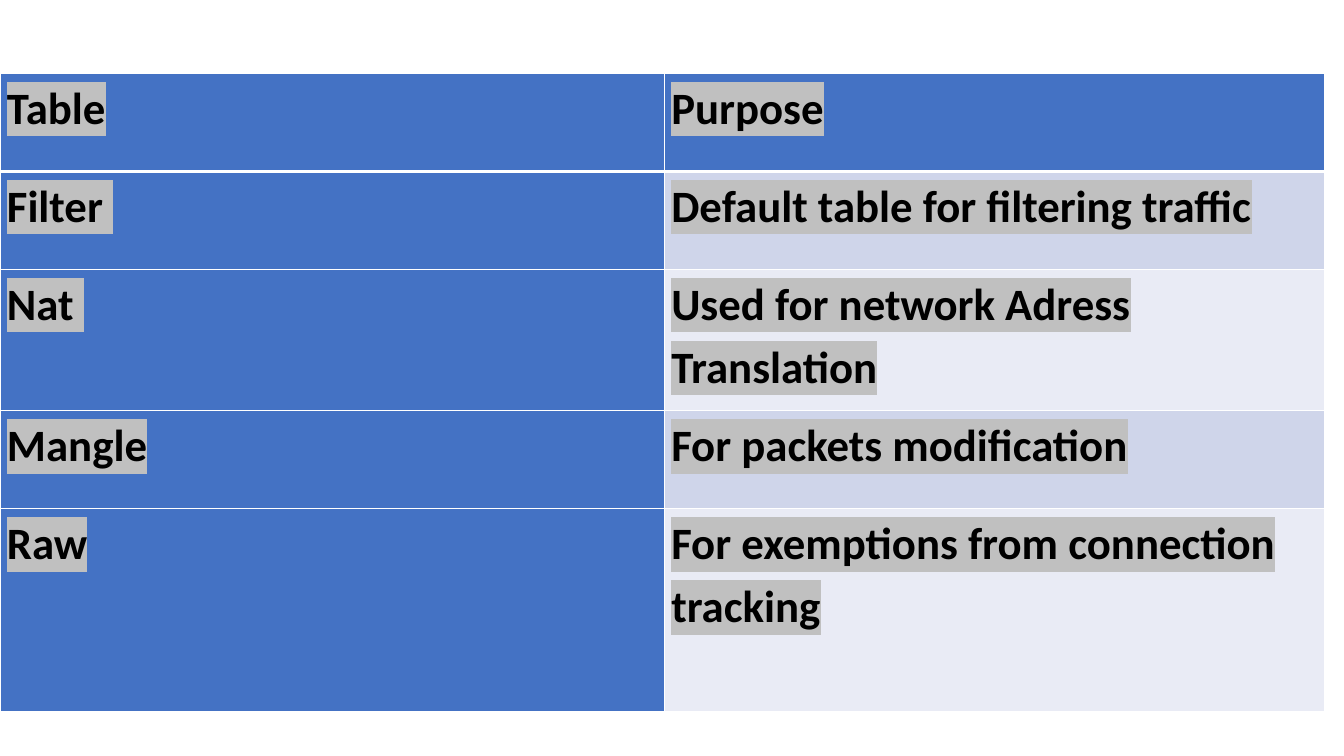
from dataclasses import dataclass

from lxml import etree
from pptx import Presentation
from pptx.dml.color import RGBColor
from pptx.oxml.ns import qn
from pptx.table import _Cell
from pptx.util import Pt

BLANK_LAYOUT = 6
BLUE, PALE, PALER = "4472C4", "CFD5EA", "E9EBF5"
WHITE, BLACK, GREY = "FFFFFF", "000000", "C0C0C0"
TABLE_TOP = 52.5
COLUMN_WIDTHS = (474.5, 472)
THIN, THICK = 1, 3


@dataclass(frozen=True)
class TableRow:
    name: str
    purpose: str
    height: float


ROWS = (
    TableRow("Table", "Purpose", 70),
    TableRow("Filter ", "Default table for filtering traffic", 70),
    TableRow("Nat ", "Used for network Adress Translation", 101),
    TableRow("Mangle", "For packets modification", 70),
    TableRow("Raw", "For exemptions from connection tracking", 145),
)


def rgb(value: str) -> RGBColor:
    return RGBColor.from_string(value)


def add_solid_colour(parent: etree._Element, tag: str, colour: str) -> None:
    holder = etree.SubElement(parent, qn(tag))
    etree.SubElement(holder, qn("a:srgbClr"), val=colour)


def set_borders(cell: _Cell, top: float, bottom: float) -> None:
    """Draw white borders; the cell's fill must be set afterwards."""
    properties = cell._tc.get_or_add_tcPr()
    for tag, width in (("a:lnL", THIN), ("a:lnR", THIN),
                       ("a:lnT", top), ("a:lnB", bottom)):
        line = etree.SubElement(properties, qn(tag), w=str(Pt(width)))
        add_solid_colour(line, "a:solidFill", WHITE)


def write_cell(cell: _Cell, text: str) -> None:
    cell.margin_left = cell.margin_right = Pt(5)
    cell.margin_top = cell.margin_bottom = 0
    paragraph = cell.text_frame.paragraphs[0]
    paragraph.line_spacing = 1.15
    paragraph.space_after = Pt(10)
    font = paragraph.font
    font.name = "Calibri"
    font.size = Pt(32)
    font.bold = True
    font.color.rgb = rgb(BLACK)
    run = paragraph.add_run()
    run.text = text
    add_solid_colour(run._r.get_or_add_rPr(), "a:highlight", GREY)


def fill_colour(row: int, column: int) -> str:
    if row == 0 or column == 0:
        return BLUE
    return PALE if row % 2 else PALER


def main() -> None:
    deck = Presentation()
    deck.slide_width, deck.slide_height = Pt(960), Pt(540)
    slide = deck.slides.add_slide(deck.slide_layouts[BLANK_LAYOUT])
    purposes = slide.shapes.add_table(
        len(ROWS), len(COLUMN_WIDTHS), 0, Pt(TABLE_TOP),
        Pt(sum(COLUMN_WIDTHS)), Pt(sum(row.height for row in ROWS))).table
    purposes.first_row = purposes.horz_banding = False
    for column, width in zip(purposes.columns, COLUMN_WIDTHS):
        column.width = Pt(width)
    for r, row in enumerate(ROWS):
        purposes.rows[r].height = Pt(row.height)
        for c, text in enumerate((row.name, row.purpose)):
            cell = purposes.cell(r, c)
            write_cell(cell, text)
            set_borders(cell, top=THICK if r == 1 else THIN,
                        bottom=THICK if r == 0 else THIN)
            cell.fill.solid()
            cell.fill.fore_color.rgb = rgb(fill_colour(r, c))
    deck.save("out.pptx")


if __name__ == "__main__":
    main()
